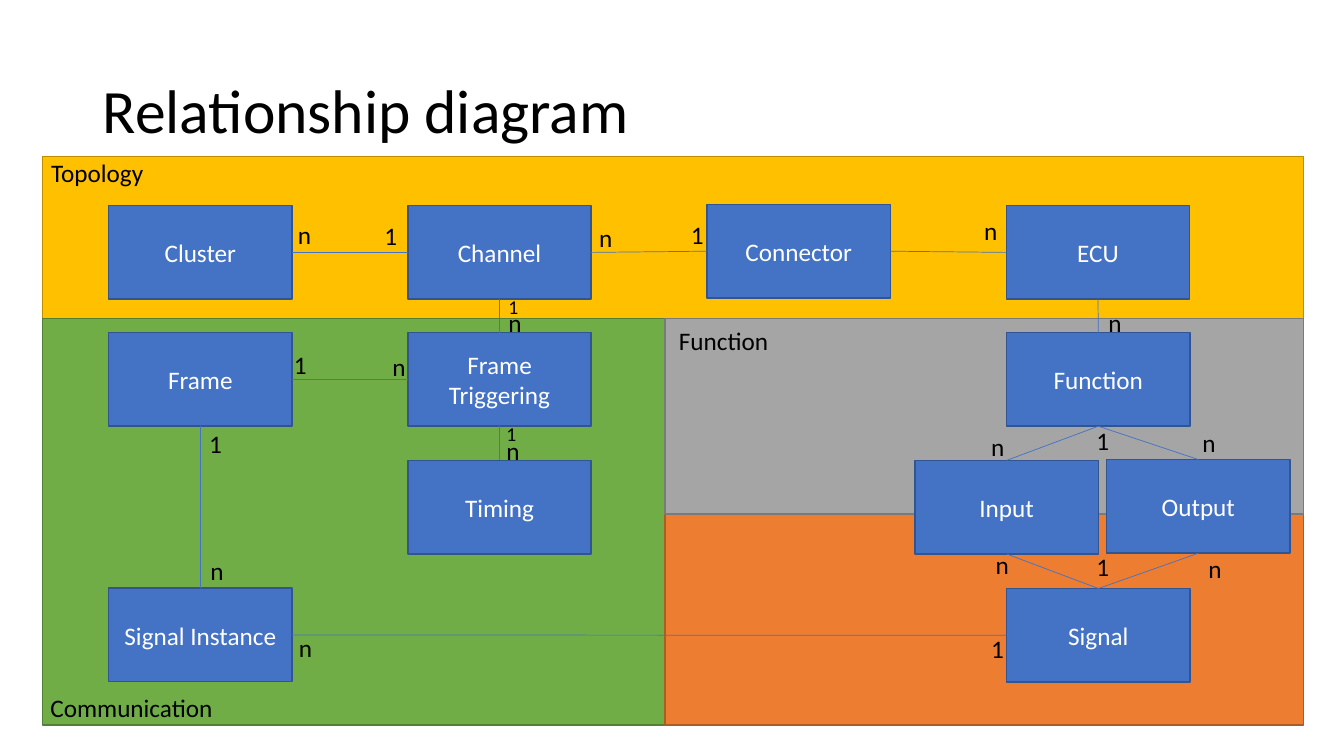
from lxml.etree import SubElement
from pptx import Presentation
from pptx.dml.color import RGBColor
from pptx.enum.shapes import MSO_CONNECTOR, MSO_SHAPE
from pptx.enum.text import MSO_ANCHOR, PP_ALIGN
from pptx.oxml.ns import qn
from pptx.util import Cm, Pt

BLUE, EDGE = "4472C4", "325491"
WIDE, HIGH = 4.62, 2.36      # size of a block
COL, ROW = 7.54, 3.22        # steps between blocks
INX, INY = 1.67, 0.35        # inset of the first block in a region
MID = 8.61                   # inset of the blocks in the right column
TOP, LEFT, BOTTOM, RIGHT = range(4)


def color(code):
    return RGBColor.from_string(code)


def write(shape, text, size=18, ink="000000", align=PP_ALIGN.LEFT,
          anchor=MSO_ANCHOR.TOP, wrap=True, space=1.0):
    frame = shape.text_frame
    frame.word_wrap = wrap
    frame.vertical_anchor = anchor
    para = frame.paragraphs[0]
    para.alignment = align
    para.line_spacing = space
    run = para.add_run()
    run.text = text
    run.font.name = "Calibri"
    run.font.size = Pt(size)
    run.font.color.rgb = color(ink)


def label(slide, box, text, **fmt):
    write(slide.shapes.add_textbox(*map(Cm, box)), text, **fmt)


def rect(slide, box, fill, edge):
    shape = slide.shapes.add_shape(MSO_SHAPE.RECTANGLE, *map(Cm, box))
    shape.shadow.inherit = False
    shape.fill.solid()
    shape.fill.fore_color.rgb = color(fill)
    shape.line.color.rgb = color(edge)
    shape.line.width = Pt(1)
    return shape


def fill_in(slide, box, places):
    """Place named blocks in a region and return them by name."""
    blocks = {}
    for name, (x, y) in places.items():
        shape = rect(slide, (box[0] + x, box[1] + y, WIDE, HIGH), BLUE, EDGE)
        write(shape, name, ink="FFFFFF", align=PP_ALIGN.CENTER,
              anchor=MSO_ANCHOR.MIDDLE)
        blocks[name] = shape
    return blocks


def topology(slide, box):
    x, y, *_ = box
    rect(slide, box, "FFC000", "BD8E00")
    label(slide, (x - 0.03, y - 0.1, 6.53, 1.02), "Topology")
    names = ("Cluster", "Channel", "Connector", "ECU")
    places = {name: (INX + i * COL, 1.24) for i, name in enumerate(names)}
    places["Connector"] = (INX + 2 * COL, 1.21)
    return fill_in(slide, box, places)


def communication(slide, box):
    x, y, _, high = box
    rect(slide, box, "70AD47", "538035")
    label(slide, (x - 0.05, y + high - 0.95, 6.53, 1.02), "Communication")
    cells = {"Frame": (0, 0), "Frame Triggering": (1, 0),
             "Timing": (1, 1), "Signal Instance": (0, 2)}
    return fill_in(slide, box, {name: (INX + c * COL, INY + r * ROW)
                                for name, (c, r) in cells.items()})


def function(slide, box):
    x, y, *_ = box
    rect(slide, box, "A5A5A5", "7A7A7A")
    label(slide, (x + 0.1, y + 0.05, 2.79, 1.02), "Function", wrap=False)
    return fill_in(slide, box, {"Function": (MID, INY),
                                "Input": (6.3, INY + ROW),
                                "Output": (11.13, INY + ROW - 0.02)})


def signal(slide, box):
    rect(slide, box, "ED7D31", "AF5C24")
    return fill_in(slide, box, {"Signal": (MID, 1.88)})


def mark(slide, x, y, text, dx, dy, size=18):
    """Write a multiplicity at an offset from a link's end."""
    scale = size / 18
    label(slide, (x.cm + dx, y.cm + dy, 0.86 * scale, 1.02 * scale), text,
          size=size, wrap=False)


def link(slide, start, side, end, goal, first, last):
    line = slide.shapes.add_connector(MSO_CONNECTOR.STRAIGHT, 0, 0, 0, 0)
    line.begin_connect(start, side)
    line.end_connect(end, goal)
    line.line.color.rgb = color(BLUE)
    line.line.width = Pt(0.5)
    SubElement(line._element.spPr, qn("a:effectLst"))
    if first:
        mark(slide, line.begin_x, line.begin_y, *first)
    if last:
        mark(slide, line.end_x, line.end_y, *last)


# start, side, end, side, then a mark (text, dx, dy, size) for each end
LINKS = [
    ("Cluster", RIGHT, "Channel", LEFT, ("n", -0.1, -0.97), ("1", -0.84, -0.94)),
    ("Channel", RIGHT, "Connector", LEFT, ("n", -0.05, -0.89), ("1", -0.66, -0.94)),
    ("Connector", RIGHT, "ECU", LEFT, None, ("n", -0.81, -1.07)),
    ("Channel", BOTTOM, "Frame Triggering", TOP,
     ("1", -0.03, -0.23, 14), ("n", -0.03, -0.76)),
    ("Frame Triggering", LEFT, "Frame", RIGHT, ("n", -0.64, -0.84), ("1", -0.2, -0.89)),
    ("Frame Triggering", BOTTOM, "Timing", TOP,
     ("1", -0.08, -0.23, 14), ("n", -0.08, -0.76)),
    ("Frame", BOTTOM, "Signal Instance", TOP, ("1", -0.03, -0.08), ("n", 0, -0.94)),
    ("Signal Instance", RIGHT, "Signal", LEFT, ("n", -0.08, -0.2), ("1", -0.64, -0.18)),
    ("ECU", BOTTOM, "Function", TOP, None, ("n", 0, -0.76)),
    ("Function", BOTTOM, "Input", TOP, ("1", -0.3, -0.15), ("n", -0.64, -0.86)),
    ("Function", BOTTOM, "Output", TOP, None, ("n", -0.15, -0.94)),
    ("Input", BOTTOM, "Signal", TOP, ("n", -0.53, -0.23), ("1", -0.3, -1.07)),
    ("Signal", TOP, "Output", BOTTOM, None, ("n", 0, -0.13)),
]


def diagram(slide, box):
    x, y, wide, high = box
    head, left, upper = 4.09, 15.69, 4.92
    low, right = high - head, wide - left
    blocks = {
        **topology(slide, (x, y, wide, head)),
        **communication(slide, (x, y + head, left, low)),
        **signal(slide, (x + left, y + head + upper, right, low - upper)),
        **function(slide, (x + left, y + head, right, upper)),
    }
    for start, side, end, goal, first, last in LINKS:
        link(slide, blocks[start], side, blocks[end], goal, first, last)


def main():
    deck = Presentation()
    deck.slide_width, deck.slide_height = Cm(33.87), Cm(19.05)
    slide = deck.slides.add_slide(deck.slide_layouts[6])
    label(slide, (2.34, 1.02, 29.21, 3.68), "Relationship diagram", size=44,
          anchor=MSO_ANCHOR.MIDDLE, space=0.9)
    diagram(slide, (1.07, 3.94, 31.78, 14.33))
    deck.save("out.pptx")


if __name__ == "__main__":
    main()
